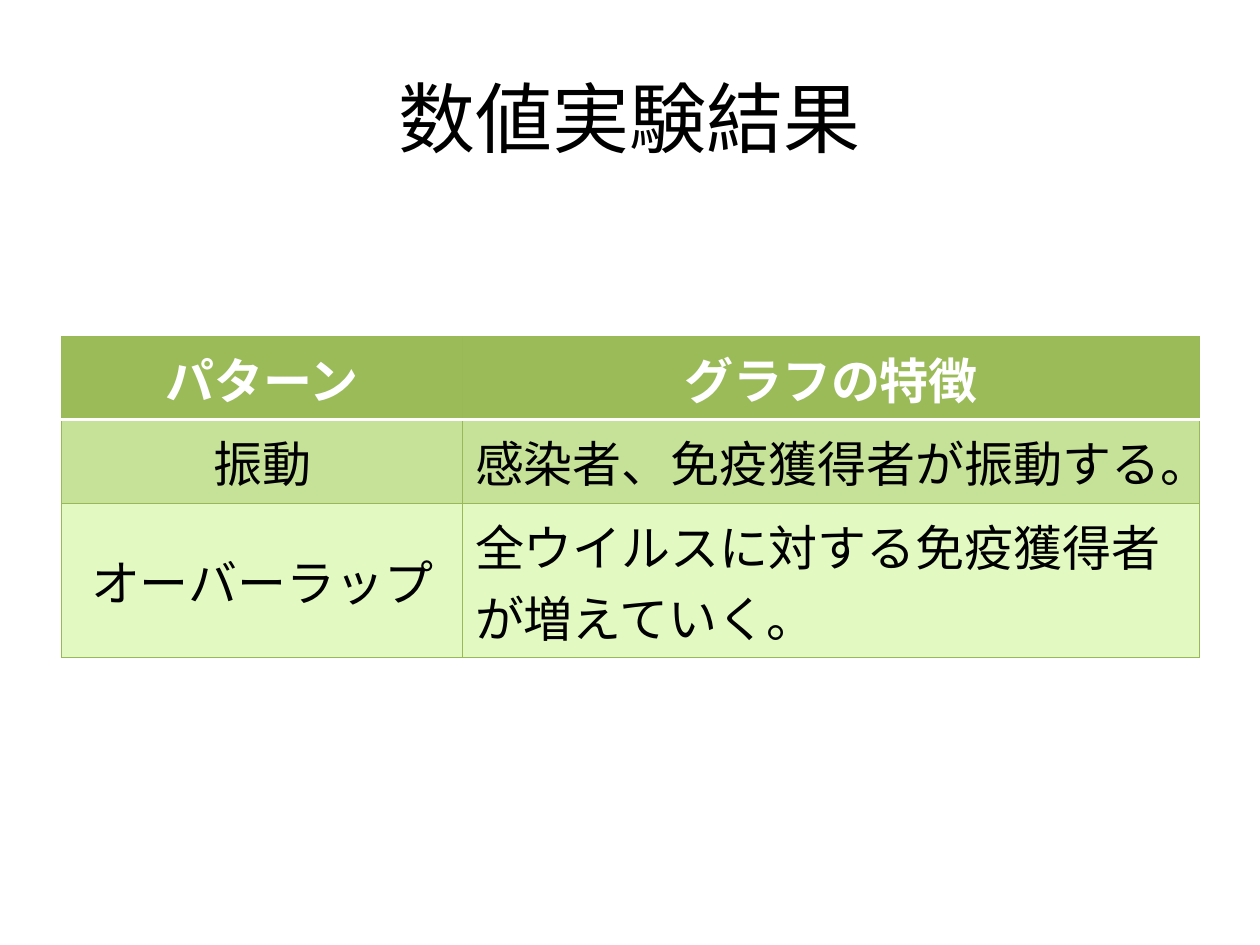
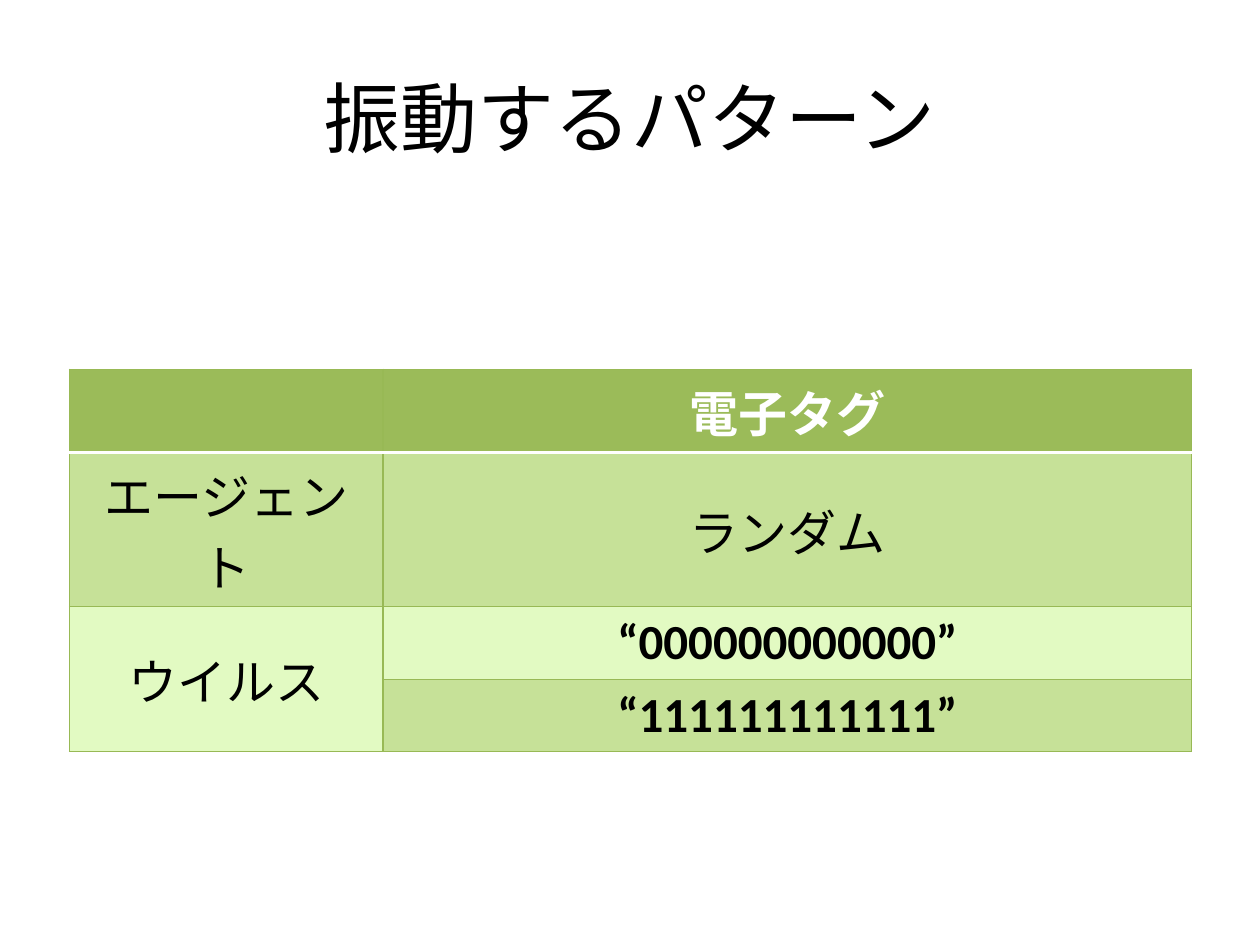
import pptx
import pptx.dml.color
import pptx.enum.text
import pptx.oxml
import pptx.oxml.ns
import pptx.util

COLORS = {
    "text": "000000",
    "header_text": "FFFFFF",
    "header": "9BBB59",
    "band": "C6E198",
    "plain": "E2FAC2",
    "grid": "98B955",
    "header_rule": "FFFFFF",
}
FONT = "Calibri"
TITLE_SIZE, TABLE_SIZE = pptx.util.Pt(44), pptx.util.Pt(28)
GRID_WIDTH, RULE_WIDTH = 0.75, 2
TITLE_ONLY_LAYOUT = 5
LEFT, CENTER = pptx.enum.text.PP_ALIGN.LEFT, pptx.enum.text.PP_ALIGN.CENTER
MIDDLE = pptx.enum.text.MSO_ANCHOR.MIDDLE
SLIDE_WIDTH, SLIDE_HEIGHT = pptx.util.Inches(10), pptx.util.Inches(7.5)


def color(name):
    return pptx.dml.color.RGBColor.from_string(COLORS[name])


def inches(*lengths):
    return [pptx.util.Inches(length) for length in lengths]


def write(text_frame, text, size, ink, align=CENTER, bold=False):
    text_frame.text = text
    paragraph = text_frame.paragraphs[0]
    paragraph.alignment = align
    paragraph.font.name = FONT
    paragraph.font.size = size
    paragraph.font.bold = bold
    paragraph.font.color.rgb = color(ink)


def add_border(cell, side, name, points):
    """Draw one side of a cell; sides must come in the order L, R, T, B."""
    cell._tc.get_or_add_tcPr().append(pptx.oxml.parse_xml(
        f'<a:ln{side} {pptx.oxml.ns.nsdecls("a")} w="{pptx.util.Pt(points)}">'
        f'<a:solidFill><a:srgbClr val="{COLORS[name]}"/></a:solidFill>'
        f'</a:ln{side}>'))


def style_cell(cell, row):
    # The white rule lies between the header row and the first body row.
    rule_side = {0: "B", 1: "T"}.get(row)
    for side in "LRTB":
        if side == rule_side:
            add_border(cell, side, "header_rule", RULE_WIDTH)
        else:
            add_border(cell, side, "grid", GRID_WIDTH)
    cell.fill.solid()
    fill = "header" if row == 0 else "band" if row % 2 else "plain"
    cell.fill.fore_color.rgb = color(fill)
    cell.vertical_anchor = MIDDLE


def add_title_slide(deck, title):
    slide = deck.slides.add_slide(deck.slide_layouts[TITLE_ONLY_LAYOUT])
    heading = slide.shapes.title
    heading.left, heading.top = int(SLIDE_WIDTH * 0.05), int(SLIDE_HEIGHT * 0.04)
    heading.width, heading.height = int(SLIDE_WIDTH * 0.9), SLIDE_HEIGHT // 6
    heading.text_frame.vertical_anchor = MIDDLE
    write(heading.text_frame, title, TITLE_SIZE, "text")
    return slide


def add_banded_table(slide, box, columns, heights, rows,
                     body_align=CENTER, bold_cells=()):
    """Fill box with rows of text; None joins a cell to the one above it."""
    frame = slide.shapes.add_table(len(rows), len(columns), *inches(*box))
    table = frame.table
    for column, width in zip(table.columns, inches(*columns)):
        column.width = width
    for table_row, height in zip(table.rows, inches(*heights)):
        table_row.height = height
    frame.height = pptx.util.Inches(box[3])

    for r, texts in enumerate(rows):
        for c, text in enumerate(texts):
            cell = table.cell(r, c)
            style_cell(cell, r)
            if text is None:
                table.cell(r - 1, c).merge(cell)
            elif text:
                header = r == 0
                write(cell.text_frame, text, TABLE_SIZE,
                      "header_text" if header else "text",
                      CENTER if header or c == 0 else body_align,
                      header or (r, c) in bold_cells)


def add_results_slide(deck):
    slide = add_title_slide(deck, "数値実験結果")
    add_banded_table(
        slide, (0.49, 2.67, 9.03, 2.17), (3.18, 5.85), [0.41] * 3,
        [("パターン", "グラフの特徴"),
         ("振動", "感染者、免疫獲得者が振動する。"),
         ("オーバーラップ", "全ウイルスに対する免疫獲得者が増えていく。")],
        body_align=LEFT)


def add_oscillation_slide(deck):
    slide = add_title_slide(deck, "振動するパターン")
    add_banded_table(
        slide, (0.55, 2.93, 8.91, 2.39), (2.49, 6.42), (0.41, 0.69, 0.41, 0.54),
        [("", "電子タグ"),
         ("エージェント", "ランダム"),
         ("ウイルス", "“000000000000”"),
         (None, "“111111111111”")],
        bold_cells={(2, 1), (3, 1)})


def main():
    deck = pptx.Presentation()
    deck.slide_width, deck.slide_height = SLIDE_WIDTH, SLIDE_HEIGHT
    add_results_slide(deck)
    add_oscillation_slide(deck)
    deck.save("out.pptx")


if __name__ == "__main__":
    main()
